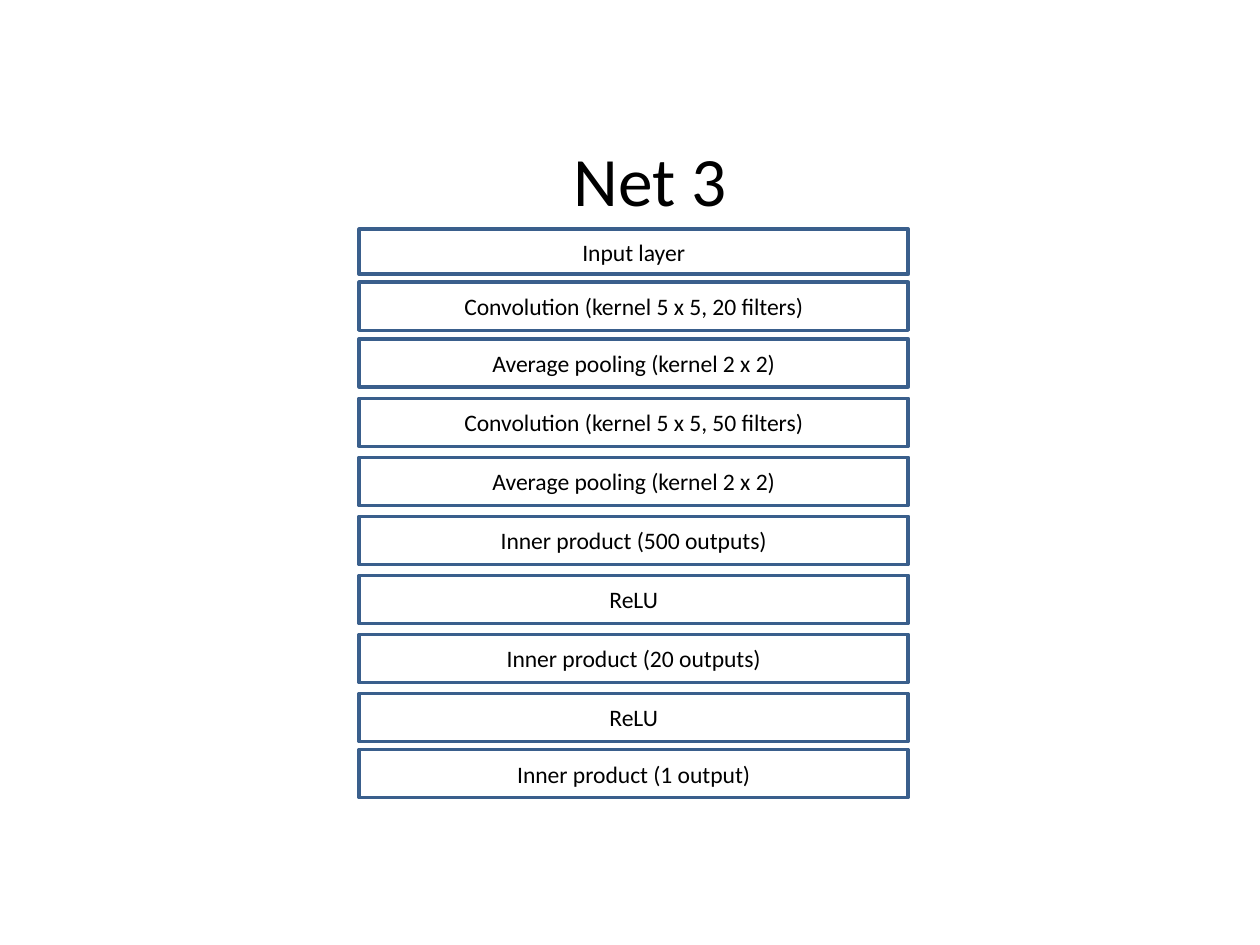
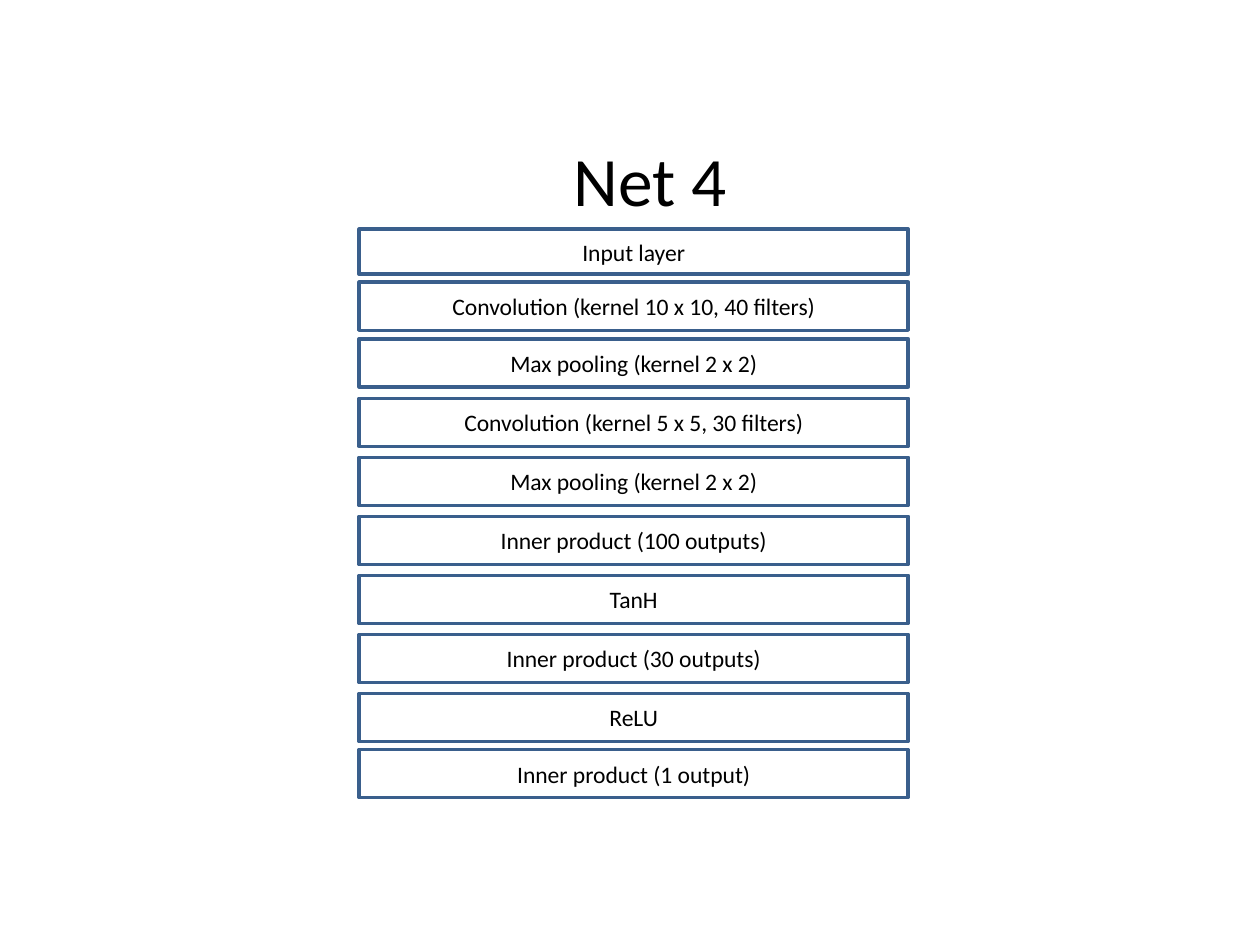
from dataclasses import dataclass

import pptx
import pptx.dml.color
import pptx.enum.shapes
import pptx.enum.text
import pptx.util

Cm = pptx.util.Cm
Pt = pptx.util.Pt


@dataclass(frozen=True)
class Theme:
    font: str = "Calibri"
    ink: str = "000000"
    paper: str = "FFFFFF"
    border: str = "3A5F8C"
    border_width: float = 2
    title_size: float = 39.6
    layer_size: float = 13.5


LAYER_LEFT, LAYER_WIDTH = 7.24, 11.07
INPUT_HEIGHT, LAYER_HEIGHT = 0.91, 0.97
MIDDLE_TOP, MIDDLE_PITCH, MIDDLE_COUNT = 8.03, 1.19, 6
LAYER_TOPS = [
    4.62, 5.69, 6.83,
    *(MIDDLE_TOP + row * MIDDLE_PITCH for row in range(MIDDLE_COUNT)),
    15.11,
]

NETS = {
    "Net 3": [
        "Input layer",
        "Convolution (kernel 5 x 5, 20 filters)",
        "Average pooling (kernel 2 x 2)",
        "Convolution (kernel 5 x 5, 50 filters)",
        "Average pooling (kernel 2 x 2)",
        "Inner product (500 outputs)",
        "ReLU",
        "Inner product (20 outputs)",
        "ReLU",
        "Inner product (1 output)",
    ],
    "Net 4": [
        "Input layer",
        "Convolution (kernel 10 x 10, 40 filters)",
        "Max pooling (kernel 2 x 2)",
        "Convolution (kernel 5 x 5, 30 filters)",
        "Max pooling (kernel 2 x 2)",
        "Inner product (100 outputs)",
        "TanH",
        "Inner product (30 outputs)",
        "ReLU",
        "Inner product (1 output)",
    ],
}


def rgb(value):
    return pptx.dml.color.RGBColor.from_string(value)


def write(box, text, *, font, size, color, inset_x=0.25, inset_y=0.13):
    frame = box.text_frame
    frame.word_wrap = True
    frame.vertical_anchor = pptx.enum.text.MSO_ANCHOR.MIDDLE
    frame.margin_left = frame.margin_right = Cm(inset_x)
    frame.margin_top = frame.margin_bottom = Cm(inset_y)
    para = frame.paragraphs[0]
    para.alignment = pptx.enum.text.PP_ALIGN.CENTER
    span = para.add_run()
    span.text = text
    span.font.name = font
    span.font.size = Pt(size)
    span.font.color.rgb = rgb(color)


class Painter:
    def __init__(self, deck, theme):
        self.deck = deck
        self.theme = theme
        self.page = None

    def new_page(self):
        blank = self.deck.slide_layouts[6]
        self.page = self.deck.slides.add_slide(blank)
        background = self.page.background.fill
        background.solid()
        background.fore_color.rgb = rgb(self.theme.paper)

    def title(self, text):
        box = self.page.shapes.add_textbox(Cm(3.3), Cm(2.57), Cm(19.61), Cm(2.06))
        write(box, text, font=self.theme.font, size=self.theme.title_size,
              color=self.theme.ink)

    def layer(self, text, top, height):
        box = self.page.shapes.add_shape(
            pptx.enum.shapes.MSO_SHAPE.RECTANGLE,
            Cm(LAYER_LEFT), Cm(top), Cm(LAYER_WIDTH), Cm(height))
        box.shadow.inherit = False
        box.fill.solid()
        box.fill.fore_color.rgb = rgb(self.theme.paper)
        box.line.color.rgb = rgb(self.theme.border)
        box.line.width = Pt(self.theme.border_width)
        write(box, text, font=self.theme.font, size=self.theme.layer_size,
              color=self.theme.ink, inset_x=0.18, inset_y=0.1)


def main():
    deck = pptx.Presentation()
    deck.slide_width, deck.slide_height = Cm(25.4), Cm(19.05)
    painter = Painter(deck, Theme())
    for name, layers in NETS.items():
        painter.new_page()
        painter.title(name)
        for row, (text, top) in enumerate(zip(layers, LAYER_TOPS)):
            painter.layer(text, top, LAYER_HEIGHT if row else INPUT_HEIGHT)
    deck.save("out.pptx")


if __name__ == "__main__":
    main()
